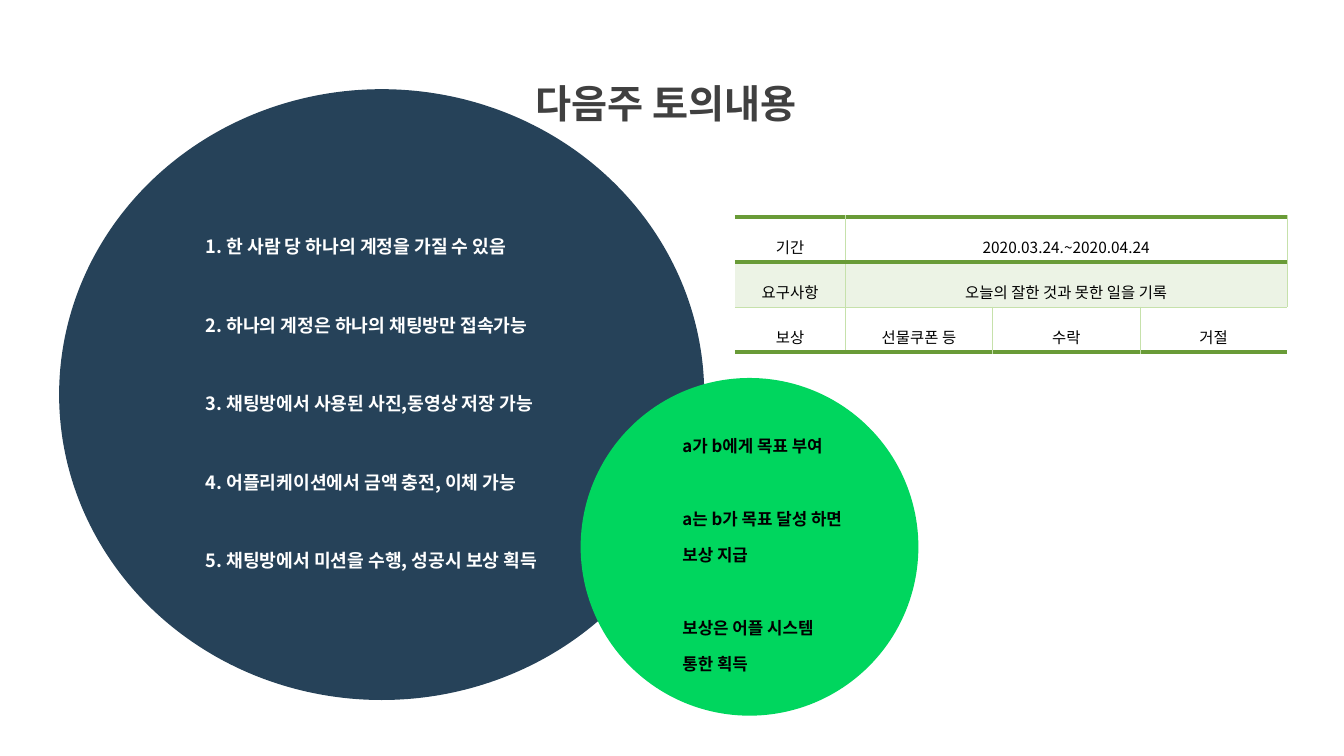
"""Build the slide with next week's discussion topics."""
from dataclasses import dataclass

from lxml.etree import SubElement
from pptx import Presentation
from pptx.dml.color import RGBColor
from pptx.enum.shapes import MSO_SHAPE
from pptx.enum.text import MSO_ANCHOR, MSO_AUTO_SIZE, PP_ALIGN
from pptx.oxml.ns import qn
from pptx.slide import Slide
from pptx.table import _Cell
from pptx.text.text import TextFrame
from pptx.util import Inches, Pt

SLIDE_WIDTH, SLIDE_HEIGHT = Inches(13.33), Inches(7.5)


@dataclass(frozen=True)
class Theme:
    font: str = "Noto Sans CJK KR"
    title: str = "404040"
    navy: str = "264259"
    green: str = "00D65E"
    white: str = "FFFFFF"
    black: str = "000000"
    band: str = "ECF3E5"
    thin_rule: str = "C6E1AB"
    thick_rule: str = "699B37"
    title_size: float = 28
    rules_size: float = 13
    goals_size: float = 12
    table_size: float = 11
    thin_width: float = 0.33
    thick_width: float = 3.06


THEME = Theme()


@dataclass(frozen=True)
class Area:
    """A rectangle in percent of the slide's width and height."""
    left: float
    top: float
    width: float
    height: float

    def lengths(self) -> tuple[int, int, int, int]:
        return (int(SLIDE_WIDTH * self.left / 100), int(SLIDE_HEIGHT * self.top / 100),
                int(SLIDE_WIDTH * self.width / 100), int(SLIDE_HEIGHT * self.height / 100))


@dataclass(frozen=True)
class TextStyle:
    size: float
    color: str
    line_spacing: float
    bold: bool = False
    align: PP_ALIGN = PP_ALIGN.CENTER
    gap: float = 0
    indent: float = 0


@dataclass(frozen=True)
class Circle:
    area: Area
    fill: str
    style: TextStyle
    right_margin: float
    lines: tuple[str, ...]


@dataclass(frozen=True)
class Border:
    color: str
    width: float


TITLE_AREA = Area(32.18, 6.67, 34.73, 9.6)
TITLE_STYLE = TextStyle(THEME.title_size, THEME.title, 1.5, bold=True)

CIRCLES = (
    Circle(
        Area(4.4, 11.8, 48, 80.8), THEME.navy,
        TextStyle(THEME.rules_size, THEME.white, 1.8, True, PP_ALIGN.LEFT, 28, 0.42), 0.1,
        ("1. 한 사람 당 하나의 계정을 가질 수 있음",
         "2. 하나의 계정은 하나의 채팅방만 접속가능",
         "3. 채팅방에서 사용된 사진,동영상 저장 가능",
         "4. 어플리케이션에서 금액 충전, 이체 가능",
         "5. 채팅방에서 미션을 수행, 성공시 보상 획득"),
    ),
    Circle(
        Area(43.2, 50, 25.13, 44.67), THEME.green,
        TextStyle(THEME.goals_size, THEME.black, 1.8, True, PP_ALIGN.LEFT, 26, 0.42), 0.25,
        ("a가 b에게 목표 부여",
         "a는 b가 목표 달성 하면 보상 지급",
         "보상은 어플 시스템 통한 획득"),
    ),
)

TABLE_AREA = Area(54.68, 28.67, 41.1, 17.87)
TABLE_STYLE = TextStyle(THEME.table_size, THEME.black, 1.6)
COLUMN_SHARES = (3, 4, 4, 4)
TABLE_ROWS = (
    ("기간", "2020.03.24.~2020.04.24"),
    ("요구사항", "오늘의 잘한 것과 못한 일을 기록"),
    ("보상", "선물쿠폰 등", "수락", "거절"),
)
THIN = Border(THEME.thin_rule, THEME.thin_width)
THICK = Border(THEME.thick_rule, THEME.thick_width)


def write_lines(frame: TextFrame, lines: tuple[str, ...], style: TextStyle) -> None:
    frame.word_wrap = True
    for index, line in enumerate(lines):
        para = frame.add_paragraph() if index else frame.paragraphs[0]
        para.text = line
        para.alignment = style.align
        para.line_spacing = style.line_spacing
        if index:
            para.space_before = Pt(style.gap)
        para.font.size = Pt(style.size)
        para.font.bold = style.bold
        para.font.color.rgb = RGBColor.from_string(style.color)
        para.font.name = THEME.font
        properties = para._p.get_or_add_pPr()
        properties.set("marL", str(Inches(style.indent)))
        properties.set("indent", "0")
        SubElement(properties.find(qn("a:defRPr")), qn("a:ea"), typeface=THEME.font)


def draw_title(page: Slide) -> None:
    box = page.shapes.add_textbox(*TITLE_AREA.lengths())
    write_lines(box.text_frame, ("다음주 토의내용",), TITLE_STYLE)
    box.text_frame.auto_size = MSO_AUTO_SIZE.SHAPE_TO_FIT_TEXT


def draw_circle(page: Slide, circle: Circle) -> None:
    shape = page.shapes.add_shape(MSO_SHAPE.OVAL, *circle.area.lengths())
    shape.shadow.inherit = False
    shape.fill.solid()
    shape.fill.fore_color.rgb = RGBColor.from_string(circle.fill)
    shape.line.fill.background()
    shape.text_frame.vertical_anchor = MSO_ANCHOR.MIDDLE
    shape.text_frame.margin_right = Inches(circle.right_margin)
    write_lines(shape.text_frame, circle.lines, circle.style)


def set_border(cell: _Cell, side: str, border: Border | None) -> None:
    line = SubElement(cell._tc.get_or_add_tcPr(), qn(f"a:ln{side}"))
    if border is None:
        SubElement(line, qn("a:noFill"))
        return
    line.set("w", str(Pt(border.width)))
    SubElement(SubElement(line, qn("a:solidFill")), qn("a:srgbClr"), val=border.color)


def draw_table(page: Slide) -> None:
    left, top, width, height = TABLE_AREA.lengths()
    row_count, column_count = len(TABLE_ROWS), len(COLUMN_SHARES)
    table = page.shapes.add_table(row_count, column_count, left, top, width, height).table
    table.first_row = table.horz_banding = False
    for column, share in zip(table.columns, COLUMN_SHARES):
        column.width = int(width * share / sum(COLUMN_SHARES))
    last_row, last_column = row_count - 1, column_count - 1
    for row, texts in enumerate(TABLE_ROWS):
        if len(texts) < column_count:
            table.cell(row, len(texts) - 1).merge(table.cell(row, last_column))
        for column in range(column_count):
            cell = table.cell(row, column)
            closes_row = column == last_column or column == len(texts) - 1
            has_left = 0 < column < len(texts)
            has_right = column < len(texts) or closes_row
            if row == last_row and closes_row:
                has_right = False
            set_border(cell, "L", THIN if has_left else None)
            set_border(cell, "R", THIN if has_right else None)
            set_border(cell, "T", THICK if row < 2 else THIN)
            set_border(cell, "B", THIN if row == 1 else THICK)
            cell.fill.solid()
            cell.fill.fore_color.rgb = RGBColor.from_string(THEME.band if row % 2 else THEME.white)
            if column < len(texts):
                cell.vertical_anchor = MSO_ANCHOR.MIDDLE
                write_lines(cell.text_frame, (texts[column],), TABLE_STYLE)


def main() -> None:
    deck = Presentation()
    deck.slide_width, deck.slide_height = SLIDE_WIDTH, SLIDE_HEIGHT
    page = deck.slides.add_slide(deck.slide_layouts[6])
    draw_title(page)
    for circle in CIRCLES:
        draw_circle(page, circle)
    draw_table(page)
    deck.save("out.pptx")


if __name__ == "__main__":
    main()
